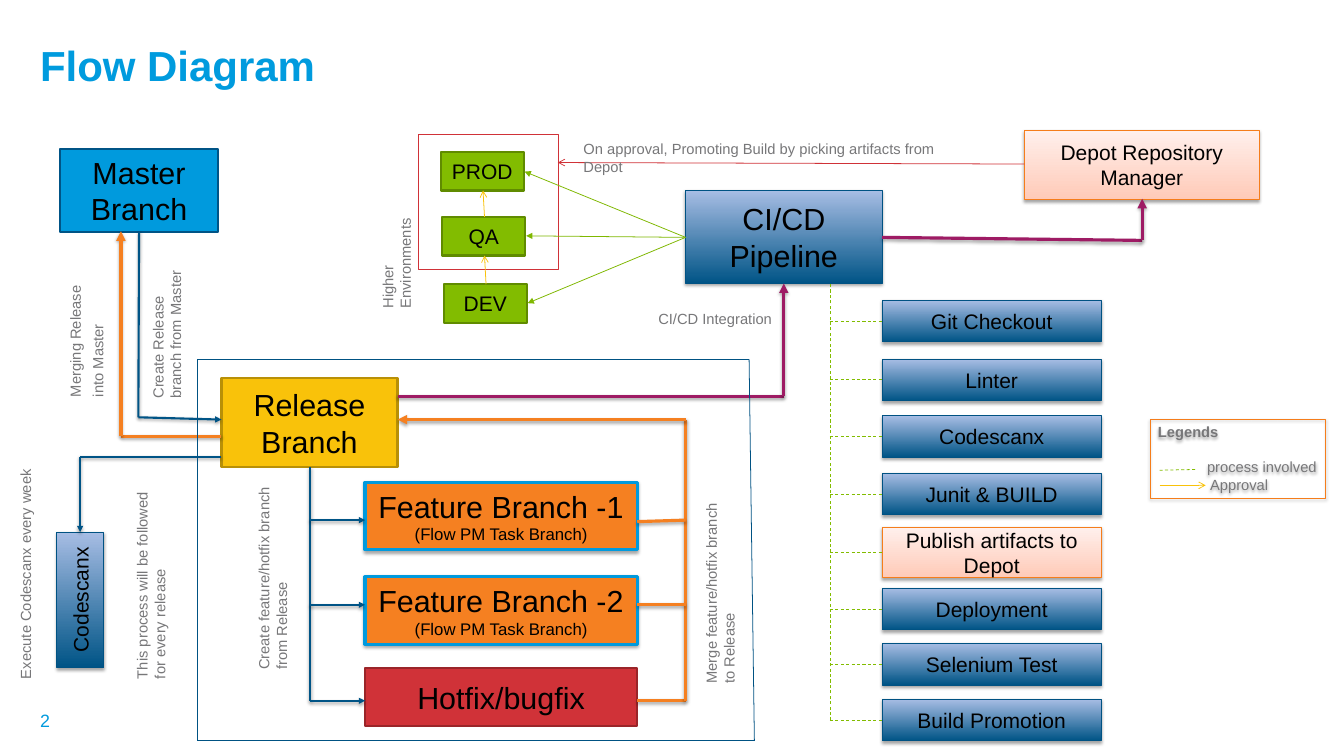
import pptx
import pptx.util
import pptx.dml.color
import pptx.enum.dml
import pptx.enum.shapes
import pptx.enum.text
import pptx.oxml.ns
from dataclasses import dataclass
from lxml import etree

Inches = pptx.util.Inches
Pt = pptx.util.Pt
RGBColor = pptx.dml.color.RGBColor
ALIGN = pptx.enum.text.PP_ALIGN
ANCHOR = pptx.enum.text.MSO_ANCHOR
qn = pptx.oxml.ns.qn

BLACK = RGBColor(0, 0, 0)
GRAY = RGBColor(0x77, 0x77, 0x79)
TITLE = RGBColor(0x00, 0x9B, 0xDE)
SKY = RGBColor(0x00, 0x9A, 0xDD)
NAVY = RGBColor(0x00, 0x54, 0x86)
NAVY_EDGE = RGBColor(0x00, 0x52, 0x83)
PALE_BLUE = RGBColor(0xA7, 0xBD, 0xE4)
YELLOW = RGBColor(0xF9, 0xC2, 0x0A)
YELLOW_EDGE = RGBColor(0xB8, 0x90, 0x07)
ORANGE = RGBColor(0xF5, 0x80, 0x21)
ORANGE_EDGE = RGBColor(0xF5, 0x7D, 0x1B)
RED = RGBColor(0xD0, 0x32, 0x38)
RED_EDGE = RGBColor(0x9A, 0x25, 0x29)
GREEN = RGBColor(0x82, 0xBC, 0x00)
GREEN_EDGE = RGBColor(0x60, 0x8B, 0x00)
GREEN_LINE = RGBColor(0x7F, 0xB8, 0x00)
PURPLE = RGBColor(0x9E, 0x1B, 0x64)
PEACH = RGBColor(0xFF, 0xCA, 0xB8)
PALE_PEACH = RGBColor(0xFF, 0xF0, 0xEC)
BLUES = (NAVY, PALE_BLUE)
PEACHES = (PEACH, PALE_PEACH)


@dataclass
class Box:
    text: str
    at: tuple
    fill: tuple = ()
    edge: RGBColor = NAVY_EDGE
    weight: float = 0.75
    size: float = 20
    shadow: bool = False
    note: str = ""
    vertical: bool = False


@dataclass
class Route:
    points: list
    color: RGBColor
    weight: float = 0.75
    arrow: str = ""
    dashed: bool = False
    shadow: bool = False


@dataclass
class Label:
    text: str
    at: tuple
    vertical: bool = True
    spacing: float = 1.0


def write(tf, text: str, size: float = 14, color: RGBColor = GRAY, bold: bool = False,
          align=ALIGN.LEFT, anchor=ANCHOR.TOP, vertical: bool = False,
          spacing: float = 1.0, after: float = 0, indent: float = 0) -> None:
    p = tf.add_paragraph() if tf.text else tf.paragraphs[0]
    tf.word_wrap = True
    tf.vertical_anchor = anchor
    if vertical:
        tf._txBody.bodyPr.set("vert", "vert270")
    p.alignment = align
    p.line_spacing = spacing
    p.space_after = Pt(after)
    if indent:
        p._p.get_or_add_pPr().set("marL", str(Inches(indent)))
    r = p.add_run()
    r.text = text
    r.font.name, r.font.size, r.font.bold = "Arial", Pt(size), bold
    r.font.color.rgb = color


def add_shadow(effects) -> None:
    shadow = etree.SubElement(effects, qn("a:outerShdw"), blurRad=str(Pt(3.1)),
                              dist=str(Pt(1.8)), dir="5400000", rotWithShape="0")
    color = etree.SubElement(shadow, qn("a:srgbClr"), val="000000")
    etree.SubElement(color, qn("a:alpha"), val="35000")


def draw_box(s, box: Box):
    sp = s.shapes.add_shape(pptx.enum.shapes.MSO_SHAPE.RECTANGLE, *map(Inches, box.at))
    sp.shadow.inherit = False
    if len(box.fill) == 2:
        sp.fill.gradient()
        sp.fill.gradient_angle = 90
        for stop, color, position in zip(sp.fill.gradient_stops, box.fill, (0, 1)):
            stop.color.rgb = color
            stop.position = position
    elif box.fill:
        sp.fill.solid()
        sp.fill.fore_color.rgb = box.fill[0]
    else:
        sp.fill.background()
    sp.line.color.rgb = box.edge
    sp.line.width = Pt(box.weight)
    if box.shadow:
        add_shadow(sp._element.spPr.find(qn("a:effectLst")))
    for text, size in ((box.text, box.size), (box.note, 16)):
        if text:
            write(sp.text_frame, text, size=size, color=BLACK, align=ALIGN.CENTER,
                  anchor=ANCHOR.MIDDLE, vertical=box.vertical)
    return sp


def draw_route(s, route: Route) -> None:
    for start, end in zip(route.points, route.points[1:]):
        sp = s.shapes.add_connector(pptx.enum.shapes.MSO_CONNECTOR.STRAIGHT,
                                    *map(Inches, (*start, *end)))
        sp.line.color.rgb = route.color
        sp.line.width = Pt(route.weight)
        if route.dashed:
            sp.line.dash_style = pptx.enum.dml.MSO_LINE.DASH
        if route.arrow and end == route.points[-1]:
            etree.SubElement(sp.line._get_or_add_ln(), qn("a:tailEnd"), type=route.arrow)
        effects = etree.SubElement(sp._element.spPr, qn("a:effectLst"))
        if route.shadow:
            add_shadow(effects)


def draw_label(s, label: Label) -> None:
    sp = s.shapes.add_textbox(*map(Inches, label.at))
    write(sp.text_frame, label.text, vertical=label.vertical, spacing=label.spacing)


STAGES = [
    ("Git Checkout", 3.97), ("Linter", 4.75), ("Codescanx", 5.5), ("Junit & BUILD", 6.26),
    ("Publish artifacts to Depot", 6.97), ("Deployment", 7.78), ("Selenium Test", 8.51),
    ("Build Promotion", 9.25),
]
BOXES = [
    Box("Master Branch", (0.79, 1.97, 2.1, 1.1), (SKY,), NAVY, 2, 29),
    Box("Release Branch", (2.93, 5, 2.33, 1.18), (YELLOW,), YELLOW_EDGE, 2, 29),
    Box("Hotfix/bugfix", (4.83, 8.84, 3.6, 0.76), (RED,), RED_EDGE, 2, 29),
    Box("CI/CD Pipeline", (9.07, 2.52, 2.6, 1.23), BLUES, size=29, shadow=True),
    Box("Depot Repository Manager", (13.55, 1.72, 3.11, 0.92), PEACHES, ORANGE_EDGE, shadow=True),
    Box("Codescanx", (0.75, 7.04, 0.62, 1.79), BLUES, shadow=True, vertical=True),
    Box("", (5.53, 1.78, 1.86, 1.79), edge=RED),
]
BOXES += [Box(f"Feature Branch -{n}", (4.83, top, 3.6, 0.89), (ORANGE,), SKY, 3, 29, True,
              "(Flow PM Task Branch)") for n, top in ((1, 6.38), (2, 7.63))]
BOXES += [Box(name, (left, top, 1.1, 0.51), (GREEN,), GREEN_EDGE, 2)
          for name, left, top in (("PROD", 5.83, 2.01), ("QA", 5.85, 2.87), ("DEV", 5.87, 3.76))]

PIPE = (9.07, 3.14)
ROUTES = [
    Route([(1.84, 3.06), (1.83, 5.52), (2.93, 5.55)], NAVY, 2, "triangle", shadow=True),
    Route([(2.93, 6.04), (1.06, 6.04), (1.06, 7.04)], NAVY, 2, "triangle", shadow=True),
    Route([(4.1, 6.18), (4.1, 9.27)], NAVY, 2, shadow=True),
    Route([(2.93, 5.77), (1.6, 5.77), (1.6, 3.06)], ORANGE, 3, "triangle", shadow=True),
    Route([(8.43, 9.27), (9.07, 9.27), (9.07, 5.55), (5.26, 5.55)], ORANGE, 3, "triangle",
          shadow=True),
    Route([(8.43, 6.9), (9.07, 6.88)], ORANGE, 3, shadow=True),
    Route([(8.43, 8), (9.07, 8)], ORANGE, 3, shadow=True),
    Route([(5.26, 5.24), (10.37, 5.24), (10.37, 3.75)], PURPLE, 3, "triangle", shadow=True),
    Route([(11.67, 3.14), (15.11, 3.18), (15.11, 2.63)], PURPLE, 3, "triangle", shadow=True),
    Route([(6.43, 3.76), (6.41, 3.38)], YELLOW, arrow="arrow"),
    Route([(6.41, 2.87), (6.39, 2.52)], YELLOW, arrow="arrow"),
    Route([(13.55, 2.17), (7.38, 2.15)], RED, arrow="arrow"),
    Route([(2.61, 4.75), (9.91, 4.75), (9.98, 9.8), (2.61, 9.8), (2.61, 4.75)], NAVY_EDGE),
    Route([(10.98, 9.53), (10.98, 3.75)], GREEN, dashed=True),
]
ROUTES += [Route([(4.1, y), (4.83, y)], NAVY, 2, "triangle", shadow=True) for y in (6.88, 8, 9.27)]
ROUTES += [Route([PIPE, end], GREEN_LINE, arrow="triangle")
           for end in ((6.98, 4.01), (6.96, 3.12), (6.94, 2.27))]

for name, top in STAGES:
    publish = name.startswith("Publish")
    height = 0.67 if publish else 0.55
    BOXES.append(Box(name, (11.67, top, 2.9, height), PEACHES if publish else BLUES,
                     ORANGE_EDGE if publish else NAVY_EDGE, shadow=True))
    middle = top + height / 2
    ROUTES.append(Route([(10.98, middle), (11.67, middle)], GREEN, dashed=True))

LABELS = [
    Label("Merging Release into Master", (0.76, 3.36, 0.74, 1.99), spacing=1.28),
    Label("Create Release branch from Master", (1.92, 3.38, 0.74, 1.99)),
    Label("Create feature/hotfix branch from Release", (3.32, 6.24, 0.67, 2.72)),
    Label("Merge feature/hotfix branch to Release", (9.24, 6.42, 0.67, 2.72)),
    Label("This process will be followed for every release", (1.71, 6.36, 0.67, 2.72)),
    Label("Execute Codescanx every week", (0.17, 5.77, 0.44, 3.31)),
    Label("Higher Environments", (4.96, 2.22, 0.44, 1.96)),
    Label("CI/CD Integration", (8.61, 4.05, 1.78, 0.34), False),
    Label("On approval, Promoting Build by picking artifacts from Depot",
          (7.62, 1.8, 5.2, 0.34), False),
]


def draw_legend(s) -> None:
    sp = draw_box(s, Box("", (15.22, 5.55, 2.32, 1.04), edge=ORANGE_EDGE, shadow=True))
    write(sp.text_frame, "Legends", bold=True, after=16)
    write(sp.text_frame, "process involved", indent=0.65)
    write(sp.text_frame, "Approval", indent=0.69)
    draw_route(s, Route([(15.34, 6.22), (15.83, 6.21)], GREEN, dashed=True))
    draw_route(s, Route([(15.34, 6.42), (15.95, 6.42)], YELLOW, arrow="arrow"))


def place_heading(sp, at: tuple, text: str, **style) -> None:
    sp.left, sp.top, sp.width, sp.height = map(Inches, at)
    tf = sp.text_frame
    tf.margin_left = tf.margin_right = Inches(0.18)
    tf.margin_top = tf.margin_bottom = Inches(0.09)
    write(tf, text, anchor=ANCHOR.MIDDLE, **style)


def main() -> None:
    prs = pptx.Presentation()
    prs.slide_width, prs.slide_height = Inches(17.78), Inches(10)
    s = prs.slides.add_slide(prs.slide_layouts[5])
    place_heading(s.shapes.title, (0.35, 0.4, 17.09, 0.92), "Flow Diagram",
                  size=40, color=TITLE, bold=True)
    place_heading(s.shapes.add_textbox(0, 0, 0, 0), (0.35, 9.27, 4.15, 0.53), "2",
                  size=17, color=SKY)
    for box in BOXES:
        draw_box(s, box)
    for route in ROUTES:
        draw_route(s, route)
    for label in LABELS:
        draw_label(s, label)
    draw_legend(s)
    prs.save("out.pptx")


if __name__ == "__main__":
    main()
